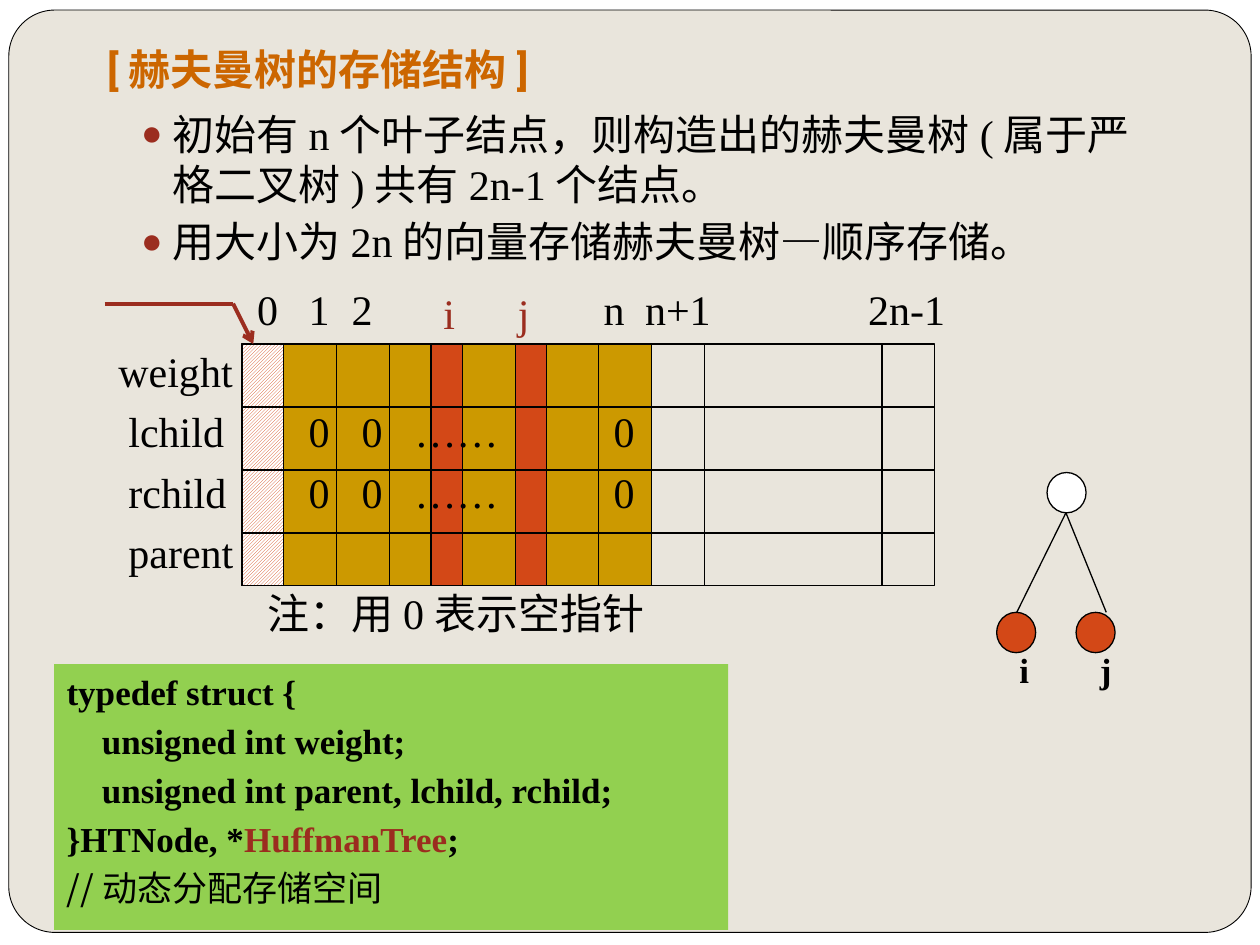
from lxml.etree import SubElement
from pptx import Presentation
from pptx.dml.color import RGBColor
from pptx.enum.dml import MSO_PATTERN
from pptx.enum.shapes import MSO_CONNECTOR, MSO_SHAPE
from pptx.enum.text import MSO_ANCHOR, MSO_AUTO_SIZE, PP_ALIGN
from pptx.oxml.ns import qn
from pptx.util import Inches, Pt

BLACK = RGBColor(0x00, 0x00, 0x00)
WHITE = RGBColor(0xFF, 0xFF, 0xFF)
PAPER = RGBColor(0xE9, 0xE5, 0xDC)
ORANGE = RGBColor(0xCC, 0x66, 0x00)
GOLD = RGBColor(0xCC, 0x99, 0x00)
RED = RGBColor(0xD3, 0x48, 0x17)
DARK_RED = RGBColor(0x9B, 0x2D, 0x1F)
GREEN = RGBColor(0x92, 0xD0, 0x50)
SERIF, SANS, CJK = "Times New Roman", "Roboto", "Noto Sans CJK SC"


def add_box(slide, preset, box, fill=None, line=BLACK, width=0.75):
    shape = slide.shapes.add_shape(preset, *map(Inches, box))
    shape.shadow.inherit = False
    if fill is None:
        shape.fill.background()
    else:
        shape.fill.solid()
        shape.fill.fore_color.rgb = fill
    if line is None:
        shape.line.fill.background()
    else:
        shape.line.color.rgb = line
        shape.line.width = Pt(width)
    return shape


def add_line(slide, start, end, color=BLACK, width=0.75, arrow=False):
    line = slide.shapes.add_connector(
        MSO_CONNECTOR.STRAIGHT, *map(Inches, (*start, *end)))
    line.line.color.rgb = color
    line.line.width = Pt(width)
    if arrow:
        SubElement(line.line._get_or_add_ln(), qn("a:tailEnd"), type="arrow")
    SubElement(line._element.spPr, qn("a:effectLst"))


def add_run(paragraph, text, size, color=BLACK, bold=False, font=SERIF):
    run = paragraph.add_run()
    run.text = text
    run.font.size = Pt(size)
    run.font.name = font
    run.font.bold = bold
    run.font.color.rgb = color
    SubElement(run._r.get_or_add_rPr(), qn("a:ea"), typeface=CJK)


def next_paragraph(frame):
    first = frame.paragraphs[0]
    return frame.add_paragraph() if first.runs else first


def format_paragraph(paragraph, line_height, before=0, margin=0, indent=0):
    paragraph.alignment = PP_ALIGN.LEFT
    paragraph.line_spacing = Pt(line_height)
    paragraph.space_before = Pt(before)
    paragraph.space_after = Pt(0)
    props = paragraph._p.get_or_add_pPr()
    props.set("marL", str(Inches(margin)))
    props.set("indent", str(Inches(indent)))
    return props


def add_label(slide, text, left, middle, width=0.4, size=24, color=BLACK, bold=False):
    """Write one line starting at left, centred on the height middle."""
    height = size / 60
    label = slide.shapes.add_textbox(
        *map(Inches, (left, middle - height / 2, width, height))).text_frame
    label.margin_left = label.margin_right = label.margin_top = label.margin_bottom = 0
    label.word_wrap = True
    format_paragraph(label.paragraphs[0], size * 1.2)
    add_run(label.paragraphs[0], text, size, color, bold)


def place(placeholder, slide, box):
    """Position a placeholder and bring it in front of what is drawn so far."""
    placeholder.left, placeholder.top, placeholder.width, placeholder.height = map(Inches, box)
    slide.shapes.element.append(placeholder.element)
    placeholder.text_frame.auto_size = MSO_AUTO_SIZE.NONE
    return placeholder.text_frame


def add_title(slide, box):
    frame = place(slide.shapes.title, slide, box)
    frame.vertical_anchor = MSO_ANCHOR.MIDDLE
    frame.paragraphs[0].alignment = PP_ALIGN.LEFT
    add_run(frame.paragraphs[0], "[赫夫曼树的存储结构]", 24, ORANGE, True, SANS)


def add_points(slide, box):
    frame = place(slide.placeholders[1], slide, box)
    frame.vertical_anchor = MSO_ANCHOR.TOP
    for point in ("初始有n个叶子结点，则构造出的赫夫曼树(属于严格二叉树)共有2n-1个结点。",
                  "用大小为2n的向量存储赫夫曼树—顺序存储。"):
        paragraph = next_paragraph(frame)
        paragraph.level = 1
        props = format_paragraph(paragraph, 28.8, 3.7, 0.6, -0.25)
        color = SubElement(props, qn("a:buClr"))
        SubElement(color, qn("a:srgbClr"), val=str(DARK_RED))
        SubElement(props, qn("a:buSzPct"), val="85000")
        SubElement(props, qn("a:buChar"), char="●")
        add_run(paragraph, point, 24)


def add_vector(slide, left, top, width, height):
    # Unused cell 0, leaf cells 1 to n, and the chosen cells i and j
    unused = add_box(slide, MSO_SHAPE.RECTANGLE, (left, top, 0.33, height))
    unused.fill.patterned()
    unused.fill.pattern = MSO_PATTERN.LIGHT_UPWARD_DIAGONAL
    unused.fill.fore_color.rgb = RED
    unused.fill.back_color.rgb = WHITE
    for offset, span, color in ((0.33, 2.92, GOLD), (2.17, 0.25, RED), (1.5, 0.25, RED)):
        add_box(slide, MSO_SHAPE.RECTANGLE, (left + offset, top, span, height), color)

    # Grid
    add_box(slide, MSO_SHAPE.RECTANGLE, (left, top, width, height))
    for row in range(1, 4):
        y = top + row * 0.5
        add_line(slide, (left, y), (left + width, y))
    for offset in (0.75, 1.17, 2.83, 3.25, 3.67, 5.08):
        add_line(slide, (left + offset, top), (left + offset, top + height))


def add_vector_labels(slide, left, top):
    # Cell indices
    for text, offset, span in (("0", 0.12, 0.3), ("1", 0.53, 0.3), ("2", 0.87, 0.3),
                               ("n", 2.87, 0.3), ("n+1", 3.2, 0.7), ("2n-1", 4.97, 0.8)):
        add_label(slide, text, left + offset, top - 0.28, span)
    for text, offset in (("i", 1.6), ("j", 2.19)):
        add_label(slide, text, left + offset, top - 0.25, color=DARK_RED)

    # Field names, with null pointers in the child rows
    for row, (field, offset) in enumerate((("weight", -0.98), ("lchild", -0.9),
                                           ("rchild", -0.9), ("parent", -0.9))):
        middle = top + 0.21 + row * 0.48
        add_label(slide, field, left + offset, middle, 1)
        if field.endswith("child"):
            for text, cell in (("0", 0.53), ("0", 0.95), ("……", 1.37), ("0", 2.95)):
                add_label(slide, text, left + cell, middle, 0.8)
    add_label(slide, "注：用0表示空指针", left + 0.2, top + 2.13, 4)


def add_code(slide, box):
    panel = add_box(slide, MSO_SHAPE.RECTANGLE, box, GREEN, None)
    frame = panel.text_frame
    frame.word_wrap = True
    frame.vertical_anchor = MSO_ANCHOR.TOP
    lines = [
        (0, [("typedef struct {", BLACK)]),
        (0.28, [("unsigned int weight;", BLACK)]),
        (0.28, [("unsigned int parent, lchild, rchild;", BLACK)]),
        (0, [("}HTNode, *", BLACK), ("HuffmanTree", DARK_RED), (";", BLACK)]),
    ]
    for margin, runs in lines:
        paragraph = next_paragraph(frame)
        format_paragraph(paragraph, 24, 4, margin)
        for text, color in runs:
            add_run(paragraph, text, 20, color, True)
    comment = next_paragraph(frame)
    format_paragraph(comment, 24, 4)
    add_run(comment, "//动态分配存储空间", 20, font=CJK)


def add_tree(slide, left, top):
    for x, y, color in ((0, 1.11, RED), (0.63, 1.11, RED), (0.4, 0, WHITE)):
        add_box(slide, MSO_SHAPE.OVAL, (left + x, top + y, 0.31, 0.32), color)
    for child in (0.16, 0.87):
        add_line(slide, (left + 0.55, top + 0.32), (left + child, top + 1.11))
    for text, offset in (("i", 0.18), ("j", 0.82)):
        add_label(slide, text, left + offset, top + 1.56, size=20, bold=True)


def add_pointer(slide, left, top):
    bend = (left + 1.02, top)
    add_line(slide, (left, top), bend, DARK_RED, 2.25)
    add_line(slide, bend, (left + 1.18, top + 0.32), DARK_RED, 2.25, arrow=True)


def main():
    deck = Presentation()
    deck.slide_width, deck.slide_height = Inches(10), Inches(7.5)
    slide = deck.slides.add_slide(deck.slide_layouts[1])
    slide.background.fill.solid()
    slide.background.fill.fore_color.rgb = WHITE
    card = add_box(slide, MSO_SHAPE.ROUNDED_RECTANGLE, (0.07, 0.08, 9.86, 7.32), PAPER, width=0.5)
    card.adjustments[0] = 0.05

    add_title(slide, (0.75, 0.21, 8.5, 0.67))
    add_points(slide, (0.67, 0.81, 8.5, 1.4))
    add_vector(slide, 1.92, 2.73, 5.5, 1.92)
    add_vector_labels(slide, 1.92, 2.73)
    add_code(slide, (0.43, 5.27, 5.35, 2.11))
    add_tree(slide, 7.91, 3.75)
    add_pointer(slide, 0.83, 2.41)
    deck.save("out.pptx")


if __name__ == "__main__":
    main()
